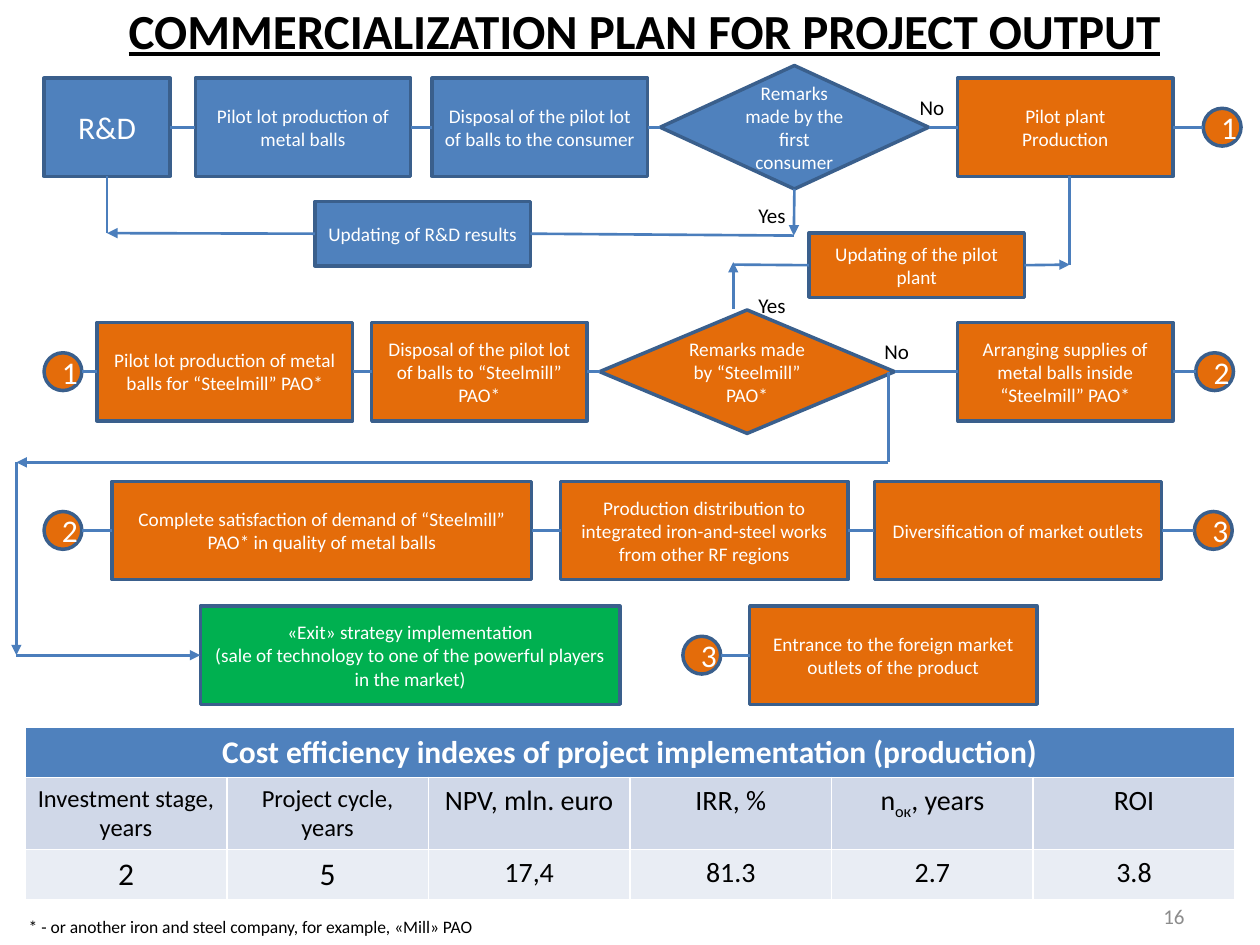
from lxml.etree import SubElement
from pptx import Presentation
from pptx.dml.color import RGBColor
from pptx.enum.shapes import MSO_CONNECTOR, MSO_SHAPE as SHAPE
from pptx.enum.text import MSO_ANCHOR as ANCHOR, MSO_AUTO_SIZE, PP_ALIGN as ALIGN
from pptx.oxml.ns import qn
from pptx.util import Inches, Pt

BLUE = RGBColor(0x4F, 0x81, 0xBD)
ORANGE = RGBColor(0xE4, 0x6C, 0x0A)
GREEN = RGBColor(0x00, 0xB0, 0x50)
OUTLINE = RGBColor(0x3A, 0x5F, 0x8C)
LINK = RGBColor(0x4B, 0x7E, 0xBC)
WHITE = RGBColor(0xFF, 0xFF, 0xFF)
BLACK = RGBColor(0, 0, 0)
GRAY = RGBColor(0x8C, 0x8C, 0x8C)
BAND_DARK = RGBColor(0xD0, 0xD8, 0xE8)
BAND_LIGHT = RGBColor(0xE9, 0xED, 0xF4)

TOP, LEFT, BOTTOM, RIGHT = range(4)
BOX_HEIGHT = 0.78
CIRCLE = 0.3
ROW_CENTERS = [1.01, 2.95, 4.21, 5.2]

ROW_BOXES = [
    ("rd", 0, 0.35, 1, BLUE, "R&D"),
    ("pilot lot", 0, 1.55, 1.71, BLUE, "Pilot lot production of metal balls"),
    ("disposal", 0, 3.43, 1.71, BLUE, "Disposal of the pilot lot of balls to the consumer"),
    ("plant", 0, 7.6, 1.71, ORANGE, "Pilot plant\nProduction"),
    ("steel lot", 1, 0.77, 2.03, ORANGE, "Pilot lot production of metal balls for “Steelmill” PAO*"),
    ("steel disposal", 1, 2.95, 1.71, ORANGE, "Disposal of the pilot lot of balls to “Steelmill” PAO*"),
    ("supplies", 1, 7.6, 1.71, ORANGE, "Arranging supplies of metal balls inside “Steelmill” PAO*"),
    ("demand", 2, 0.89, 3.33, ORANGE, "Complete satisfaction of demand of “Steelmill” PAO* in quality of metal balls"),
    ("distribution", 2, 4.45, 2.28, ORANGE, "Production distribution to integrated iron-and-steel works from other RF regions"),
    ("outlets", 2, 6.94, 2.28, ORANGE, "Diversification of market outlets"),
    ("exit", 3, 1.59, 3.33, GREEN, "«Exit» strategy implementation\n(sale of technology to one of the powerful players in the market)"),
    ("foreign", 3, 5.95, 2.28, ORANGE, "Entrance to the foreign market outlets of the product"),
]
DECISIONS = [
    ("remarks", 0, 5.24, 2.13, BLUE, "Remarks made by the first consumer"),
    ("steel remarks", 1, 4.76, 2.34, ORANGE, "Remarks made by “Steelmill” PAO*"),
]
UPDATES = [
    ("update rd", 2.5, 1.6, BLUE, "Updating of R&D results"),
    ("update plant", 6.42, 1.85, ORANGE, "Updating of the pilot plant"),
]
CIRCLES = [
    ("1", 0, 9.55, "plant", RIGHT), ("1", 1, 0.35, "steel lot", LEFT),
    ("2", 1, 9.49, "supplies", RIGHT), ("2", 2, 0.35, "demand", LEFT),
    ("3", 2, 9.48, "outlets", RIGHT), ("3", 3, 5.42, "foreign", LEFT),
]
CHAINS = [
    ["rd", "pilot lot", "disposal", "remarks", "plant"],
    ["steel lot", "steel disposal", "steel remarks", "supplies"],
    ["demand", "distribution", "outlets"],
]
LOOPS = [
    (("remarks", BOTTOM), (6.3, 1.87), True),
    ((6.3, 1.87), ("update rd", RIGHT), False),
    (("update rd", LEFT), (0.85, 1.85), True),
    ((0.85, 1.85), ("rd", BOTTOM), False),
    ((8.49, 1.4), (8.49, 2.1), False),
    (("update plant", RIGHT), (8.49, 2.1), True),
    (("update plant", LEFT), (5.82, 2.1), False),
    ((5.82, 2.45), (5.82, 2.08), True),
    ((7.05, 2.95), (7.05, 3.67), False),
    ((7.05, 3.67), (0.13, 3.67), True),
    ((0.13, 3.67), (0.13, 5.2), True),
    ((0.13, 5.2), ("exit", LEFT), True),
]
LABELS = [("Yes", 5.92, 1.56), ("No", 7.2, 0.7), ("Yes", 5.92, 2.27), ("No", 6.92, 2.64)]

TABLE_TITLE = "Cost efficiency indexes of project implementation (production)"
TABLE_ROWS = [
    (BAND_DARK, 14, ["Investment stage, years", "Project cycle, years",
                     "NPV, mln. euro", "IRR, %", "n~ок~, years", "ROI"]),
    (BAND_LIGHT, 18, ["2", "5", "17,4", "81.3", "2.7", "3.8"]),
]
ROW_HEIGHTS = [0.4, 0.57, 0.4]


def write(frame, text, size=11, color=WHITE, bold=False, underline=False, align=ALIGN.CENTER):
    for number, line in enumerate(text.split("\n")):
        para = frame.add_paragraph() if number else frame.paragraphs[0]
        para.alignment = align
        for part, words in enumerate(line.split("~")):
            span = para.add_run()
            span.text = words
            font = span.font
            font.name, font.size = "Calibri", Pt(size)
            font.bold, font.underline = bold, underline
            font.color.rgb = color
            if part % 2:
                span._r.get_or_add_rPr().set("baseline", "-25000")


def add_box(page, kind, left, top, width, height, fill, text, size=11):
    box = page.shapes.add_shape(kind, Inches(left), Inches(top), Inches(width), Inches(height))
    box.shadow.inherit = False
    box.fill.solid()
    box.fill.fore_color.rgb = fill
    box.line.color.rgb = OUTLINE
    box.line.width = Pt(2)
    box.text_frame.vertical_anchor = ANCHOR.MIDDLE
    write(box.text_frame, text, size=size)
    return box


def add_label(page, text, left, top, width, height, wrap=True, anchor=ANCHOR.TOP, **style):
    box = page.shapes.add_textbox(Inches(left), Inches(top), Inches(width), Inches(height))
    box.text_frame.word_wrap = wrap
    box.text_frame.vertical_anchor = anchor
    write(box.text_frame, text, **style)


def add_link(page, boxes, start, end, arrow=False):
    points = [(0, 0) if isinstance(place[0], str) else place for place in (start, end)]
    link = page.shapes.add_connector(
        MSO_CONNECTOR.STRAIGHT, *[Inches(value) for point in points for value in point])
    for (name, site), connect in ((start, link.begin_connect), (end, link.end_connect)):
        if isinstance(name, str):
            connect(boxes[name], site)
    link.line.color.rgb = LINK
    link.line.width = Pt(1.5)
    properties = link._element.spPr
    if arrow:
        SubElement(properties.find(qn("a:ln")), qn("a:tailEnd"), type="triangle")
    SubElement(properties, qn("a:effectLst"))


def add_flow(page):
    boxes = {}
    for kind, height, items in ((SHAPE.RECTANGLE, BOX_HEIGHT, ROW_BOXES),
                                (SHAPE.FLOWCHART_DECISION, 0.98, DECISIONS)):
        for name, row, left, width, fill, text in items:
            top = ROW_CENTERS[row] - height / 2
            size = 18 if name == "rd" else 11
            boxes[name] = add_box(page, kind, left, top, width, height, fill, text, size)
    for name, left, top, fill, text in UPDATES:
        boxes[name] = add_box(page, SHAPE.RECTANGLE, left, top, 1.71, 0.51, fill, text)
    for digit, row, left, name, side in CIRCLES:
        center = ROW_CENTERS[row]
        add_box(page, SHAPE.OVAL, left, center - CIRCLE / 2, CIRCLE, CIRCLE, ORANGE, digit, 18)
        edge = left if side == RIGHT else left + CIRCLE
        add_link(page, boxes, (name, side), (edge, center))
    for chain in CHAINS:
        for first, second in zip(chain, chain[1:]):
            add_link(page, boxes, (first, RIGHT), (second, LEFT))
    for start, end, arrow in LOOPS:
        add_link(page, boxes, start, end, arrow)


def fill_cell(cell, fill, text, **style):
    cell.fill.solid()
    cell.fill.fore_color.rgb = fill
    write(cell.text_frame, text, **style)


def add_indexes(page):
    table = page.shapes.add_table(3, 6, Inches(0.2), Inches(5.77), Inches(9.6),
                                  Inches(sum(ROW_HEIGHTS))).table
    for row, height in zip(table.rows, ROW_HEIGHTS):
        row.height = Inches(height)
    table.cell(0, 0).merge(table.cell(0, 5))
    fill_cell(table.cell(0, 0), BLUE, TABLE_TITLE, size=18, bold=True)
    for row, (fill, lead_size, texts) in enumerate(TABLE_ROWS, 1):
        for column, text in enumerate(texts):
            size = lead_size if column < 2 else 16
            fill_cell(table.cell(row, column), fill, text, size=size, color=BLACK)


def main():
    deck = Presentation()
    deck.slide_width, deck.slide_height = Inches(10), Inches(7.5)
    page = deck.slides.add_slide(deck.slide_layouts[5])
    title = page.shapes.title
    title.left, title.top = Inches(0.35), Inches(-0.05)
    title.width, title.height = Inches(9.53), Inches(0.57)
    title.text_frame.auto_size = MSO_AUTO_SIZE.NONE
    title.text_frame.vertical_anchor = ANCHOR.TOP
    write(title.text_frame, "COMMERCIALIZATION PLAN FOR PROJECT OUTPUT",
          size=28, color=BLACK, bold=True, underline=True)
    add_flow(page)
    for text, left, top in LABELS:
        add_label(page, text, left, top, 0.43, 0.3, wrap=False,
                  size=12, color=BLACK, align=ALIGN.LEFT)
    add_indexes(page)
    add_label(page, "* - or another iron and steel company, for example, «Mill» PAO",
              0.13, 7.22, 9.57, 0.27, size=10, color=BLACK, align=ALIGN.LEFT)
    add_label(page, "16", 7.17, 7.01, 2.33, 0.52, anchor=ANCHOR.MIDDLE,
              size=12, color=GRAY, align=ALIGN.RIGHT)
    deck.save("out.pptx")


if __name__ == "__main__":
    main()
